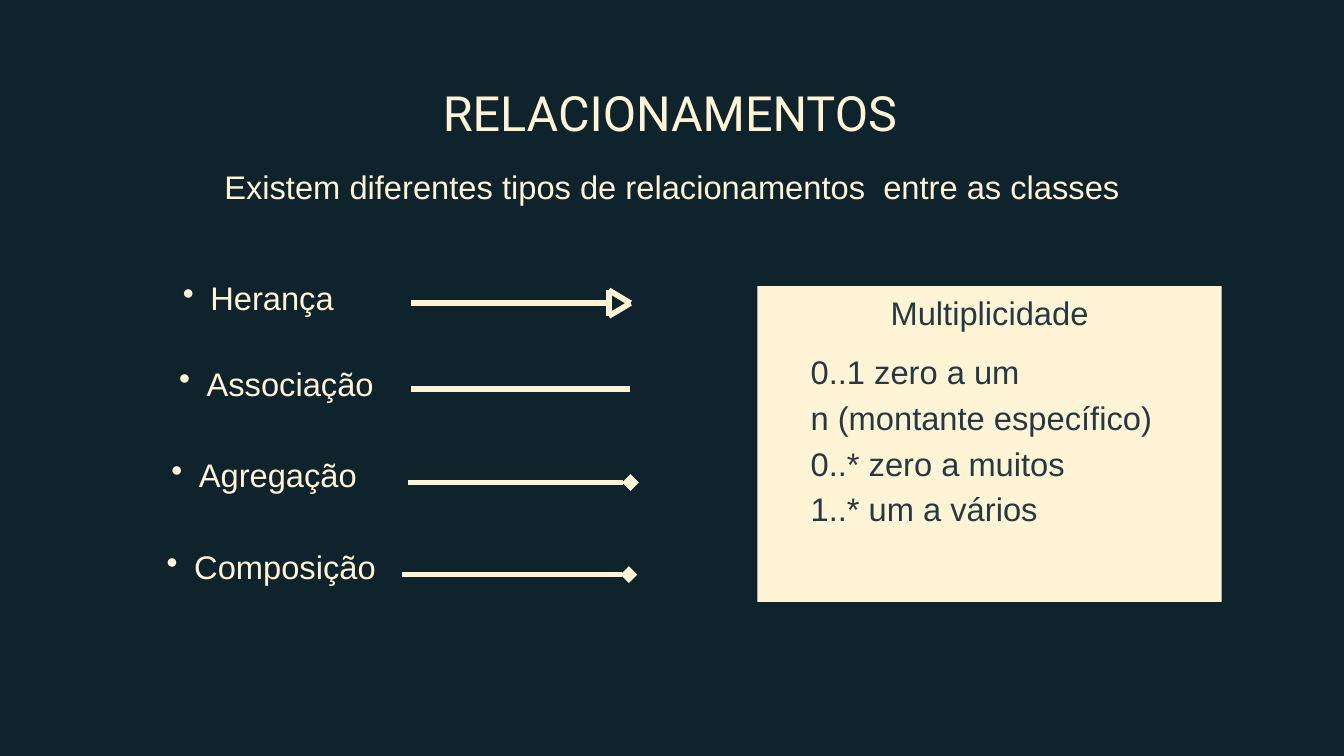
from dataclasses import dataclass

from lxml import etree
from pptx import Presentation
from pptx import util as u
from pptx.dml.color import RGBColor
from pptx.enum import shapes, text
from pptx.oxml import ns


@dataclass(frozen=True)
class Theme:
    night: RGBColor = RGBColor.from_string("0F232D")
    cream: RGBColor = RGBColor.from_string("FFF5D6")
    slate: RGBColor = RGBColor.from_string("253943")
    title_font: str = "Roboto"
    body_font: str = "Arial"
    title_size: u.Pt = u.Pt(52)
    body_size: u.Pt = u.Pt(35)
    stroke: u.Pt = u.Pt(6)


THEME = Theme()
BODY = {"name": THEME.body_font, "size": THEME.body_size, "color": THEME.cream}
DARK_BODY = {**BODY, "color": THEME.slate}
TITLE = {**BODY, "name": THEME.title_font, "size": THEME.title_size}
CENTER = {"alignment": text.PP_ALIGN.CENTER, "space_before": u.Pt(0)}
LEFT = {**CENTER, "alignment": text.PP_ALIGN.LEFT}
TITLE_LINE, LABEL_LINE, BODY_LINE = u.Pt(44.2), u.Pt(29.8), u.Pt(49)

RELATIONS = [
    ("Herança", (4.67, 10.95, 9.12), (15.54, 23.14, 11.46), None),
    ("Associação", (4.67, 14.17, 10.49), (15.54, 23.83, 14.71), None),
    ("Agregação", (4.27, 17.63, 10.36), (15.42, 23.83, 18.24), "diamond"),
    ("Composição", (4.27, 21.11, 10.9), (15.19, 23.77, 21.72), "diamond"),
]
MULTIPLICITIES = [
    "0..1 zero a um",
    "n (montante específico)",
    "0..* zero a muitos",
    "1..* um a vários",
]


def apply(target, values):
    for name, value in values.items():
        setattr(target, name, value)


def place(shape, left, top, width, height):
    apply(shape, {"left": u.Cm(left), "top": u.Cm(top),
                  "width": u.Cm(width), "height": u.Cm(height)})


def set_bullet(paragraph, symbol, margin, indent):
    properties = paragraph._p.get_or_add_pPr()
    properties.set("marL", str(u.Cm(margin)))
    properties.set("indent", str(u.Cm(indent)))
    if symbol:
        etree.SubElement(properties, ns.qn("a:buChar")).set("char", symbol)
    else:
        etree.SubElement(properties, ns.qn("a:buNone"))


def write(shape, lines, font, layout, spacing, bullet=None):
    frame = shape.text_frame
    apply(frame, {"word_wrap": True, "auto_size": text.MSO_AUTO_SIZE.NONE,
                  "vertical_anchor": text.MSO_ANCHOR.TOP, "margin_left": 0,
                  "margin_right": 0, "margin_top": 0, "margin_bottom": 0})
    frame.text = "\n".join(lines)
    for paragraph in frame.paragraphs:
        if bullet:
            set_bullet(paragraph, *bullet)
        apply(paragraph, {**layout, "line_spacing": spacing})
        for run in paragraph.runs:
            apply(run.font, {"name": font["name"], "size": font["size"]})
            run.font.color.rgb = font["color"]


def add_label(slide, words, box, spacing, bullet=None):
    shape = slide.shapes.add_textbox(*map(u.Cm, box))
    write(shape, [words], BODY, CENTER, spacing, bullet)


def add_line(slide, start, end, arrowhead=None):
    connector = slide.shapes.add_connector(
        shapes.MSO_CONNECTOR.STRAIGHT, *map(u.Cm, (*start, *end)))
    connector.line.color.rgb = THEME.cream
    connector.line.width = THEME.stroke
    if arrowhead:
        tail = etree.SubElement(connector.line._get_or_add_ln(), ns.qn("a:tailEnd"))
        tail.set("type", arrowhead)
    etree.SubElement(connector.element.spPr, ns.qn("a:effectLst"))


def add_open_arrowhead(slide, base, tip, middle):
    for side in (-1, 1):
        corner = (base, middle + side * 0.49)
        add_line(slide, (base, middle + side * 0.1), corner)
        add_line(slide, corner, (tip, middle))


def add_card(slide, heading, box):
    card = slide.shapes.add_shape(shapes.MSO_SHAPE.RECTANGLE, *map(u.Cm, box))
    card.shadow.inherit = False
    card.fill.solid()
    card.fill.fore_color.rgb = THEME.cream
    card.line.fill.background()
    write(card, [heading], DARK_BODY, CENTER, BODY_LINE)
    return card


def main():
    presentation = Presentation()
    presentation.slide_width = u.Cm(50.8)
    presentation.slide_height = u.Cm(28.58)
    slide = presentation.slides.add_slide(presentation.slide_layouts[1])
    slide.background.fill.solid()
    slide.background.fill.fore_color.rgb = THEME.night

    title, body = slide.placeholders
    place(title, 2.39, 3.78, 45.87, 1.7)
    write(title, ["RELACIONAMENTOS"], TITLE, CENTER, TITLE_LINE)
    add_label(slide, "Existem diferentes tipos de relacionamentos  entre as classes",
              (7.19, 6.05, 36.45, 1.88), BODY_LINE)

    for name, (left, top, width), (start, end, middle), arrowhead in RELATIONS:
        add_label(slide, name, (left, top, width, 1.32), LABEL_LINE, ("•", 2.11, -1.04))
        add_line(slide, (start, middle), (end, middle), arrowhead)
    add_open_arrowhead(slide, 23.01, 23.83, 11.46)

    card = add_card(slide, "Multiplicidade", (28.63, 10.82, 17.55, 11.94))
    place(body, 29.95, 13.06, 13.89, 8.74)
    write(body, MULTIPLICITIES, DARK_BODY, LEFT, BODY_LINE, (None, 0.69, 0))
    card.element.addnext(body.element)

    presentation.save("out.pptx")


if __name__ == "__main__":
    main()
